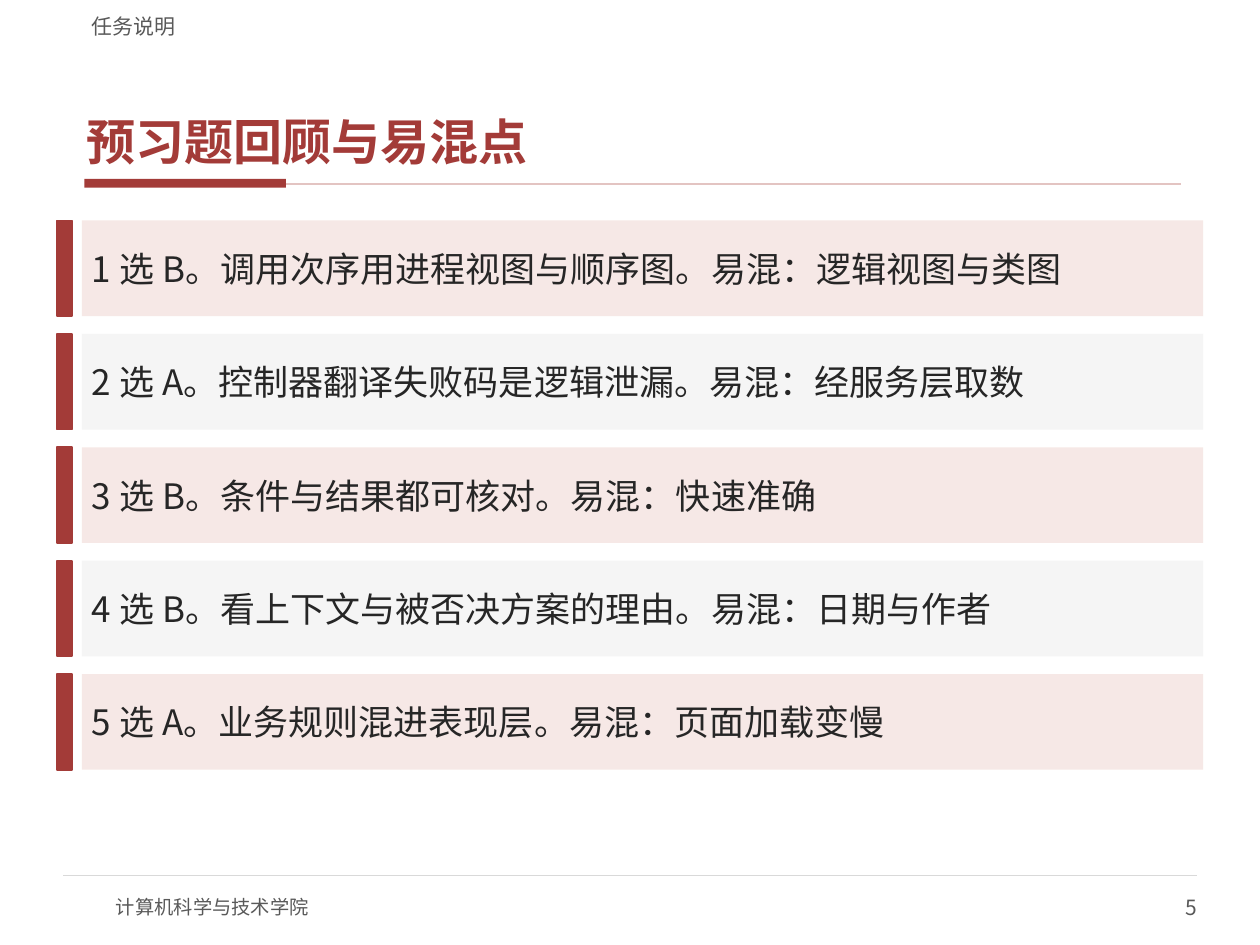
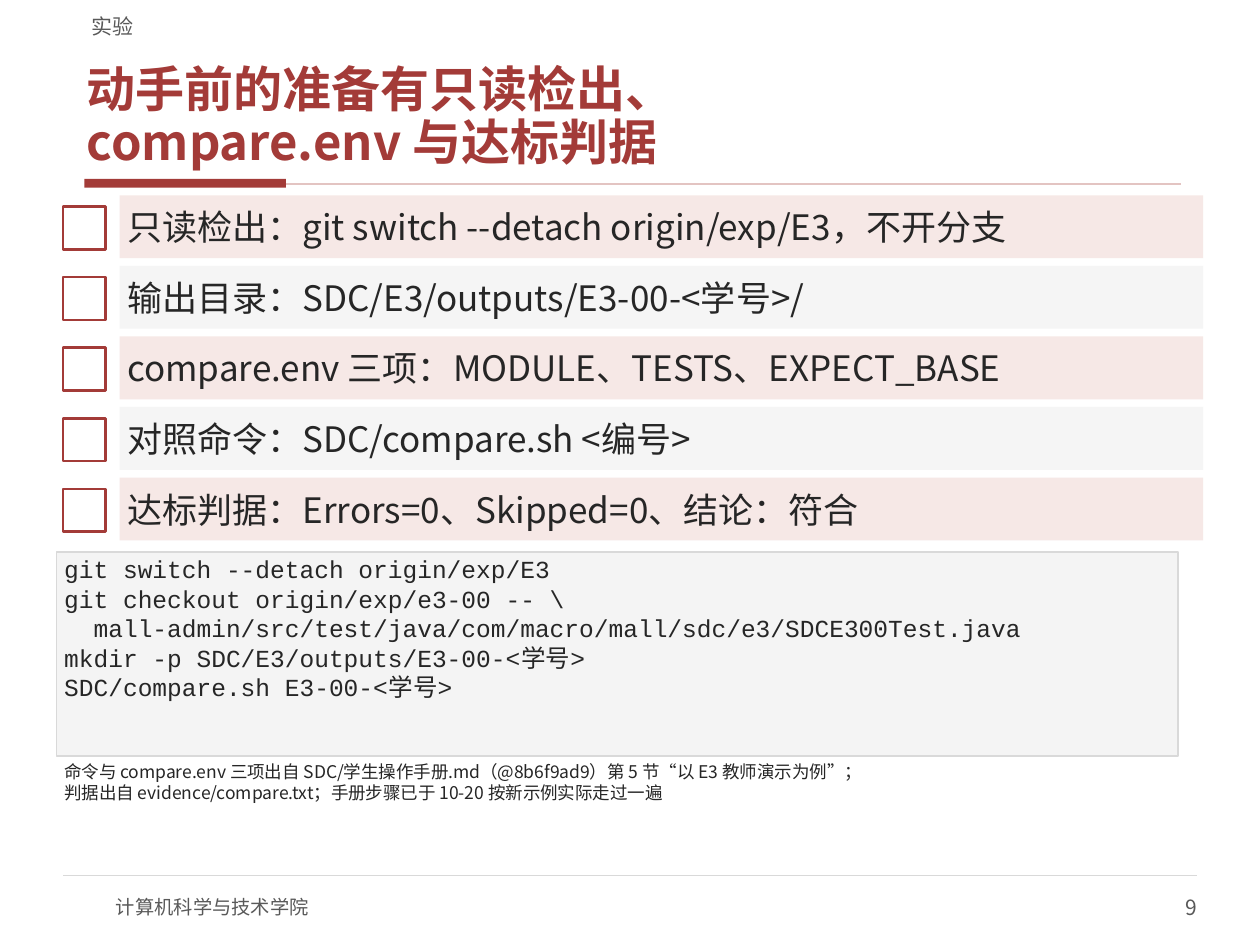
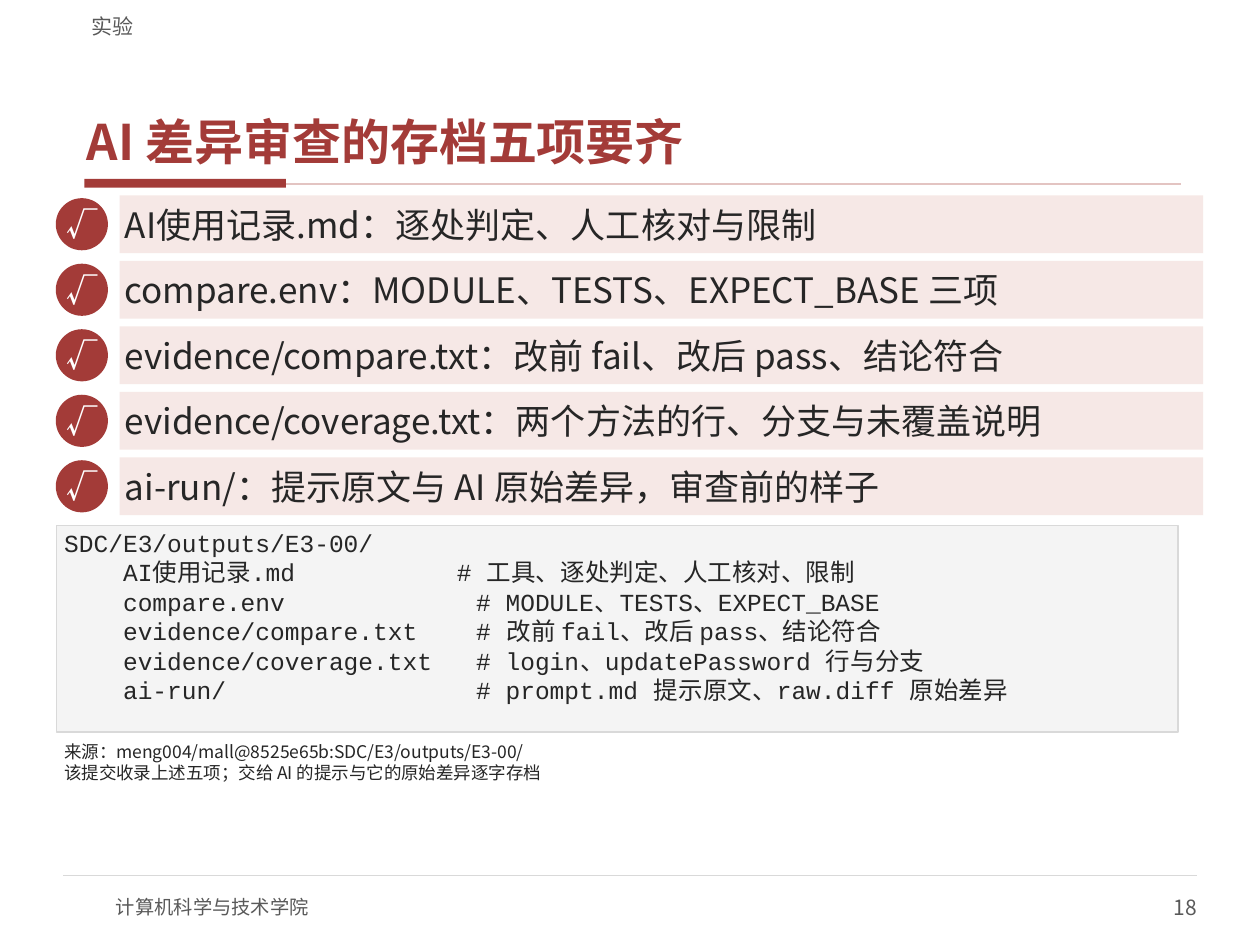
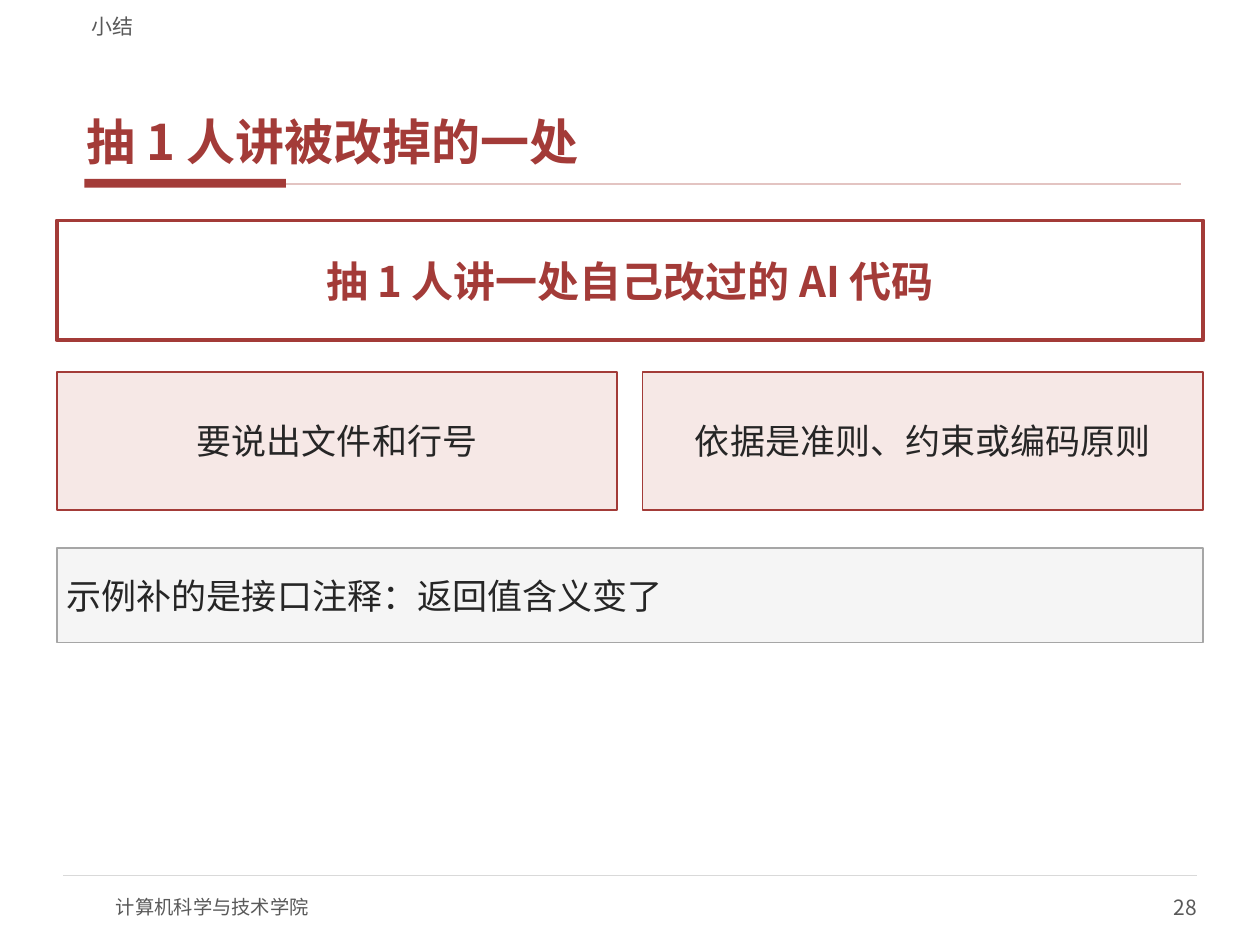
from dataclasses import dataclass

from lxml import etree
from pptx import Presentation
from pptx import util as u
from pptx.dml.color import RGBColor
from pptx.enum import shapes, text
from pptx.oxml import ns

SCALE = 9144


@dataclass(frozen=True)
class Theme:
    accent: str = "A33B38"
    accent_rule: str = "E3C4C2"
    tint: str = "F6E8E6"
    grey: str = "F5F5F5"
    code_fill: str = "F4F4F4"
    hairline: str = "D9D9D9"
    border: str = "A6A6A6"
    ink: str = "262626"
    muted: str = "595959"
    white: str = "FFFFFF"
    sans: str = "Noto Sans CJK SC"
    mono: str = "Courier New"
    title: int = 28
    callout: int = 24
    body: int = 20
    mark: int = 18
    code: int = 14
    label: int = 12
    footer: int = 11
    note: int = 10


def px(*lengths):
    return [u.Emu(length * SCALE) for length in lengths]


def rgb(value):
    return RGBColor.from_string(value)


class Deck:
    """Hold the style and the current slide, and add each kind of element."""

    SCHOOL = "计算机科学与技术学院"

    def __init__(self, theme):
        self.theme = theme
        self.prs = Presentation()
        self.prs.slide_width, self.prs.slide_height = px(1000, 750)
        self.slide = None

    def new_slide(self, section, title, number):
        t = self.theme
        self.slide = self.prs.slides.add_slide(self.prs.slide_layouts[5])
        self.box((67, 142, 160, 7), t.accent)
        self.rule(227, 146, 937, t.accent_rule, 1)
        self.rule(50, 695, 950, t.hairline, 0.75)
        self.label((92, 700, 400, 40), [self.SCHOOL], t.footer, t.muted, anchor="MIDDLE")
        self.label((750, 700, 200, 40), [str(number)], t.label, t.muted,
                   anchor="MIDDLE", align="RIGHT")
        self.label((63, 4, 875, 27), [section], t.label, t.muted,
                   anchor="BOTTOM", inset=(10, 0))
        heading = self.slide.shapes.title
        heading.left, heading.top, heading.width, heading.height = px(63, 33, 875, 105)
        self.set_text(heading.text_frame, [title], t.title, t.accent, bold=True,
                      anchor="BOTTOM", inset=(6, 2))
        heading.text_frame.paragraphs[0].line_spacing = 0.9

    def set_text(self, frame, lines, size, color, bold=False, align="LEFT",
                 anchor="TOP", inset=(0, 0), font=None):
        frame.word_wrap = True
        frame.auto_size = text.MSO_AUTO_SIZE.NONE
        frame.vertical_anchor = text.MSO_ANCHOR[anchor]
        frame.margin_left, frame.margin_top = px(*inset)
        frame.margin_right, frame.margin_bottom = px(*inset)
        for index, line in enumerate(lines):
            paragraph = frame.add_paragraph() if index else frame.paragraphs[0]
            paragraph.alignment = text.PP_ALIGN[align]
            for part, words in enumerate(line.split("\n")):
                if part:
                    paragraph.add_line_break()
                run = paragraph.add_run()
                run.text = words
                run.font.size = u.Pt(size)
                run.font.bold = bold
                run.font.color.rgb = rgb(color)
                run.font.name = font or self.theme.sans
                etree.SubElement(run.font._element, ns.qn("a:ea"), typeface=self.theme.sans)

    def label(self, at, lines, size, color, **style):
        area = self.slide.shapes.add_textbox(*px(*at))
        self.set_text(area.text_frame, lines, size, color, **style)

    def box(self, at, fill, line=None, weight=1, kind="RECTANGLE"):
        shape = self.slide.shapes.add_shape(shapes.MSO_SHAPE[kind], *px(*at))
        shape.shadow.inherit = False
        shape.fill.solid()
        shape.fill.fore_color.rgb = rgb(fill)
        if line:
            shape.line.color.rgb = rgb(line)
            shape.line.width = u.Pt(weight)
        else:
            shape.line.fill.background()
        return shape.text_frame

    def rule(self, left, y, right, color, weight):
        line = self.slide.shapes.add_connector(
            shapes.MSO_CONNECTOR.STRAIGHT, *px(left, y, right, y))
        line.line.color.rgb = rgb(color)
        line.line.width = u.Pt(weight)
        etree.SubElement(line._element.spPr, ns.qn("a:effectLst"))

    def panel(self, at, words, fill, line=None, weight=1, size=None, color=None,
              inset=(8, 4), **style):
        t = self.theme
        self.set_text(self.box(at, fill, line, weight), [words], size or t.body,
                      color or t.ink, anchor="MIDDLE", inset=inset, **style)

    def rows(self, items, marker, left, top, height, pitch, fills, inset):
        for index, item in enumerate(items):
            y = top + index * pitch
            marker(y)
            self.panel((left, y, 955 - left, height), item,
                       fills[index % len(fills)], inset=inset)

    def bar(self, y):
        self.box((45, y, 12, 76), self.theme.accent, self.theme.accent)

    def checkbox(self, y):
        self.box((50, y + 9, 34, 34), self.theme.white, self.theme.accent, 1.5)

    def tick(self, y):
        t = self.theme
        disc = self.box((45, y + 3, 40, 40), t.accent, t.accent, kind="OVAL")
        self.set_text(disc, ["√"], t.mark, t.white, bold=True, align="CENTER", anchor="MIDDLE")

    def code(self, top, height, lines):
        t = self.theme
        listing = self.box((45, top, 890, height), t.code_fill, t.hairline, 0.75)
        self.set_text(listing, lines, t.code, t.ink, inset=(6, 2), font=t.mono)

    def source(self, top, height, lines):
        t = self.theme
        self.label((45, top, 910, height), lines, t.note, t.ink, inset=(6, 2))


def review(deck):
    t = deck.theme
    deck.new_slide("任务说明", "预习题回顾与易混点", 5)
    answers = [
        "1 选 B。调用次序用进程视图与顺序图。易混：逻辑视图与类图",
        "2 选 A。控制器翻译失败码是逻辑泄漏。易混：经服务层取数",
        "3 选 B。条件与结果都可核对。易混：快速准确",
        "4 选 B。看上下文与被否决方案的理由。易混：日期与作者",
        "5 选 A。业务规则混进表现层。易混：页面加载变慢",
    ]
    deck.rows(answers, deck.bar, 65, 175, 76, 90, (t.tint, t.grey), (8, 4))


def preparation(deck):
    t = deck.theme
    deck.new_slide("实验", "动手前的准备有只读检出、\ncompare.env 与达标判据", 9)
    deck.code(438, 162, [
        "git switch --detach origin/exp/E3",
        "git checkout origin/exp/e3-00 -- \\",
        "  mall-admin/src/test/java/com/macro/mall/sdc/e3/SDCE300Test.java",
        "mkdir -p SDC/E3/outputs/E3-00-<学号>",
        "SDC/compare.sh E3-00-<学号>",
    ])
    deck.source(602, 36, [
        "命令与 compare.env 三项出自 SDC/学生操作手册.md（@8b6f9ad9）第 5 节“以 E3 教师演示为例”；",
        "判据出自 evidence/compare.txt；手册步骤已于 10-20 按新示例实际走过一遍",
    ])
    checks = [
        "只读检出：git switch --detach origin/exp/E3，不开分支",
        "输出目录：SDC/E3/outputs/E3-00-<学号>/",
        "compare.env 三项：MODULE、TESTS、EXPECT_BASE",
        "对照命令：SDC/compare.sh <编号>",
        "达标判据：Errors=0、Skipped=0、结论：符合",
    ]
    deck.rows(checks, deck.checkbox, 95, 155, 50, 56, (t.tint, t.grey), (6, 3))


def archive(deck):
    deck.new_slide("实验", "AI 差异审查的存档五项要齐", 18)
    deck.code(417, 164, [
        "SDC/E3/outputs/E3-00/",
        "    AI使用记录.md           # 工具、逐处判定、人工核对、限制",
        "    compare.env             # MODULE、TESTS、EXPECT_BASE",
        "    evidence/compare.txt    # 改前 fail、改后 pass、结论符合",
        "    evidence/coverage.txt   # login、updatePassword 行与分支",
        "    ai-run/                 # prompt.md 提示原文、raw.diff 原始差异",
    ])
    deck.source(586, 61, [
        "来源：meng004/mall@8525e65b:SDC/E3/outputs/E3-00/",
        "该提交收录上述五项；交给 AI 的提示与它的原始差异逐字存档",
    ])
    records = [
        "AI使用记录.md：逐处判定、人工核对与限制",
        "compare.env：MODULE、TESTS、EXPECT_BASE 三项",
        "evidence/compare.txt：改前 fail、改后 pass、结论符合",
        "evidence/coverage.txt：两个方法的行、分支与未覆盖说明",
        "ai-run/：提示原文与 AI 原始差异，审查前的样子",
    ]
    deck.rows(records, deck.tick, 95, 155, 46, 52, (deck.theme.tint,), (4, 2))


def summary(deck):
    t = deck.theme
    deck.new_slide("小结", "抽 1 人讲被改掉的一处", 28)
    deck.panel((45, 175, 910, 95), "抽 1 人讲一处自己改过的 AI 代码", t.white, t.accent, 2.25,
               size=t.callout, color=t.accent, bold=True, align="CENTER")
    for column, demand in enumerate(["要说出文件和行号", "依据是准则、约束或编码原则"]):
        deck.panel((45 + column * 465, 295, 445, 110), demand, t.tint, t.accent, align="CENTER")
    deck.panel((45, 435, 910, 75), "示例补的是接口注释：返回值含义变了", t.grey, t.border)


def main():
    deck = Deck(Theme())
    for build in (review, preparation, archive, summary):
        build(deck)
    deck.prs.save("out.pptx")


if __name__ == "__main__":
    main()
